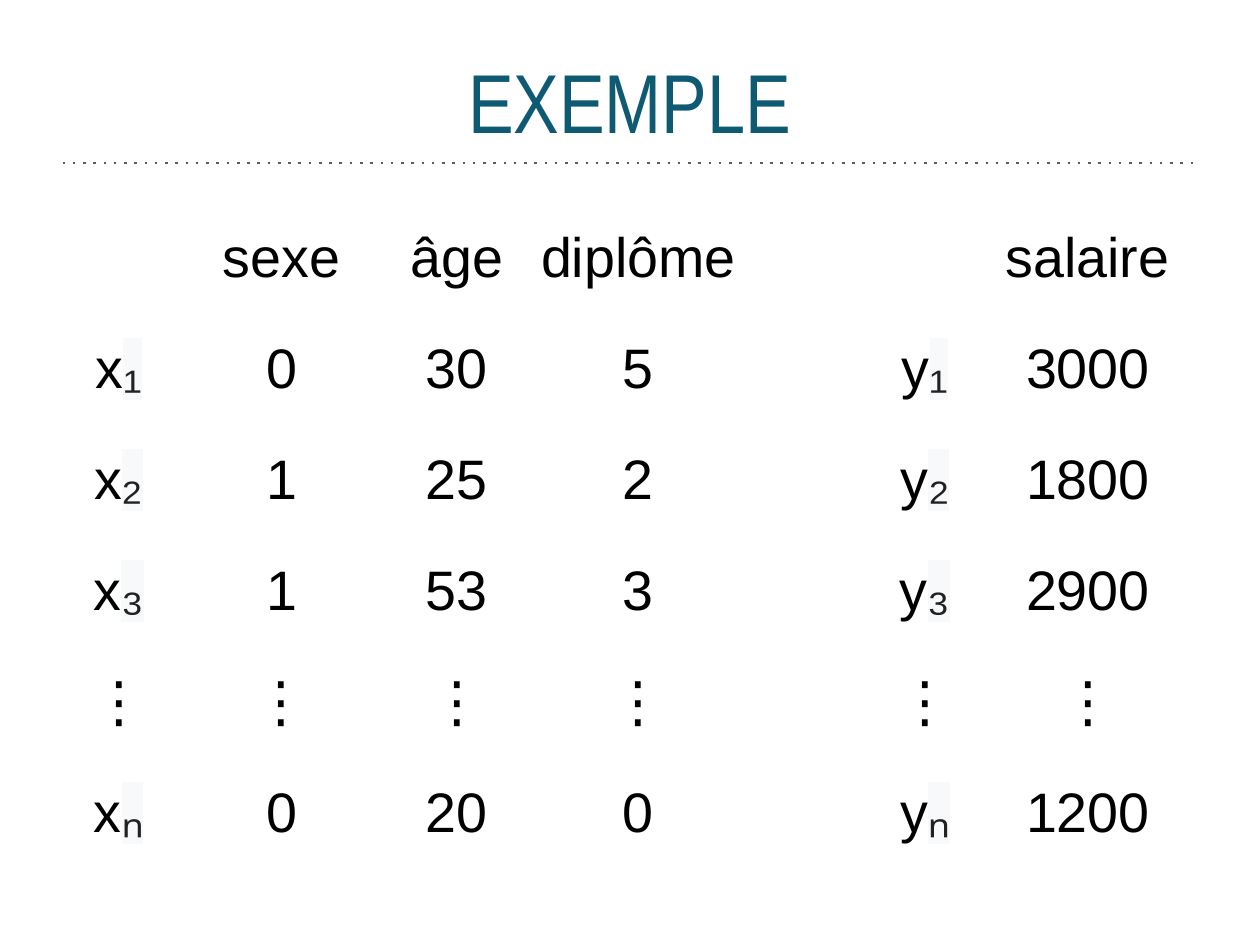
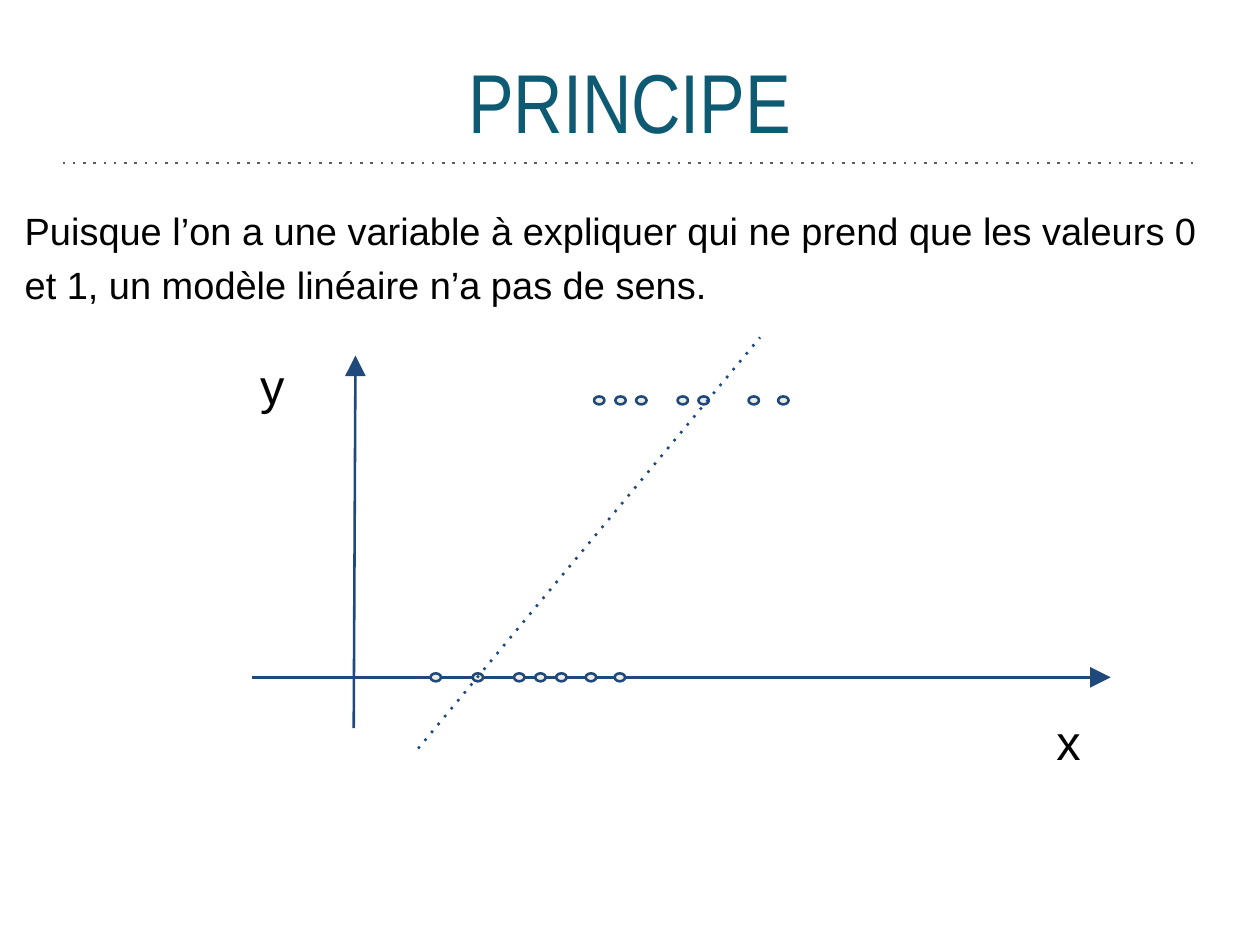
from lxml import etree
from pptx import Presentation
from pptx.dml.color import RGBColor
from pptx.enum.shapes import MSO_CONNECTOR, MSO_SHAPE
from pptx.enum.text import MSO_ANCHOR, PP_ALIGN
from pptx.oxml.ns import qn
from pptx.util import Pt

LEFT, CENTER = PP_ALIGN.LEFT, PP_ALIGN.CENTER
TOP, MIDDLE = MSO_ANCHOR.TOP, MSO_ANCHOR.MIDDLE
STRAIGHT, OVAL = MSO_CONNECTOR.STRAIGHT, MSO_SHAPE.OVAL


def rgb(value):
    return RGBColor.from_string(value)


class Deck:
    FONT, TITLE_FONT = "Arial", "Arial Narrow"
    TEXT, TITLE, RULE = "000000", "0E5A73", "5C5C5C"
    PLOT, MARKER = "1F497D", "EEECE1"
    SUBSCRIPT, HIGHLIGHT = "202122", "F8F9FA"
    LINE_WIDTH, INSET = 0.75, 7.2

    def __init__(self, width, height):
        self.prs = Presentation()
        self.prs.slide_width, self.prs.slide_height = Pt(width), Pt(height)
        self.s = None

    def slide(self, title):
        self.s = self.prs.slides.add_slide(self.prs.slide_layouts[6])
        self.line(18, 46.9, 344.2, 46.9, self.RULE, dotted=True)
        self.text(19.4, 0, 323.3, 57.6, title, 24, self.TITLE,
                  self.TITLE_FONT, CENTER, MIDDLE)

    def run(self, p, text, size, color=TEXT, font=FONT, highlight=None):
        r = p.add_run()
        r.text = text
        r.font.size = Pt(size)
        r.font.name = font
        r.font.color.rgb = rgb(color)
        if highlight:
            mark = etree.Element(qn("a:highlight"))
            etree.SubElement(mark, qn("a:srgbClr"), val=highlight)
            r._r.rPr.find(qn("a:solidFill")).addnext(mark)

    def text(self, x, y, w, h, text, size, color=TEXT, font=FONT,
             align=LEFT, anchor=TOP, spacing=None):
        tf = self.s.shapes.add_textbox(Pt(x), Pt(y), Pt(w), Pt(h)).text_frame
        tf.word_wrap = True
        tf.vertical_anchor = anchor
        tf.margin_left = tf.margin_right = Pt(self.INSET)
        tf.margin_top = tf.margin_bottom = Pt(self.INSET)
        p = tf.paragraphs[0]
        p.alignment = align
        if spacing:
            p.line_spacing = spacing
        self.run(p, text, size, color, font)

    def line(self, x1, y1, x2, y2, color=PLOT, dotted=False, arrow=False):
        sp = self.s.shapes.add_connector(STRAIGHT, Pt(x1), Pt(y1), Pt(x2), Pt(y2))
        sp.line.color.rgb = rgb(color)
        sp.line.width = Pt(self.LINE_WIDTH)
        ln = sp.line._get_or_add_ln()
        if dotted:
            etree.SubElement(ln, qn("a:prstDash"), val="dot")
        if arrow:
            etree.SubElement(ln, qn("a:tailEnd"), type="triangle")
        etree.SubElement(sp._element.spPr, qn("a:effectLst"))

    def marker(self, cx, cy, w=3, h=2.3):
        sp = self.s.shapes.add_shape(OVAL, Pt(cx - w / 2), Pt(cy - h / 2), Pt(w), Pt(h))
        sp.shadow.inherit = False
        sp.fill.solid()
        sp.fill.fore_color.rgb = rgb(self.MARKER)
        sp.line.color.rgb = rgb(self.PLOT)
        sp.line.width = Pt(self.LINE_WIDTH)

    def table(self, x, y, widths, row_height, rows, size):
        frame = self.s.shapes.add_table(len(rows), len(widths), Pt(x), Pt(y),
                                        Pt(sum(widths)), Pt(row_height * len(rows)))
        table = frame.table
        table.first_row = table.horz_banding = False
        for column, width in zip(table.columns, widths):
            column.width = Pt(width)
        for i, row in enumerate(rows):
            table.rows[i].height = Pt(row_height)
            for j, text in enumerate(row):
                self.cell(table.cell(i, j), text, size)

    def cell(self, cell, text, size):
        cell.fill.background()
        cell.vertical_anchor = MIDDLE
        cell.margin_left = cell.margin_right = 0
        cell.margin_top = cell.margin_bottom = 0
        p = cell.text_frame.paragraphs[0]
        p.alignment = CENTER
        p.line_spacing = 0.5
        if text[:1] in ("x", "y"):
            self.run(p, text[0], size)
            self.run(p, text[1:], size, self.SUBSCRIPT, highlight=self.HIGHLIGHT)
        elif text:
            self.run(p, text, size)


def main():
    deck = Deck(362.2, 272.2)

    # Example data: explanatory variables and outcome
    deck.slide("EXEMPLE")
    samples = [
        ("₁", "0", "30", "5", "3000"),
        ("₂", "1", "25", "2", "1800"),
        ("₃", "1", "53", "3", "2900"),
        ("ₙ", "0", "20", "0", "1200"),
    ]
    rows = [["x" + n, sex, age, degree, "", "y" + n, salary]
            for n, sex, age, degree, salary in samples]
    rows.insert(3, ["" if j == 4 else "⋮" for j in range(7)])
    rows.insert(0, ["", "sexe", "âge", "diplôme", "", "", "salaire"])
    deck.table(15.8, 61.2, [36.7, 56.9, 43.9, 60.5, 35.3, 33.8, 59.8], 31.9, rows, 16)

    # Principle: a straight line through binary outcomes
    deck.slide("PRINCIPE")
    deck.text(0, 60.5, 359.3, 24.5,
              "Puisque l’on a une variable à expliquer qui ne prend que les valeurs 0 "
              "et 1, un modèle linéaire n’a pas de sens.",
              10.9, anchor=MIDDLE, spacing=1.19)

    # Axes and their labels
    deck.line(101.7, 209.3, 102.2, 102.2, arrow=True)
    deck.line(72.4, 194.7, 319.3, 194.7, arrow=True)
    for label, x, y in (("x", 296.6, 197.3), ("y", 67.7, 95)):
        deck.text(x, y, 23, 31, label, 14)

    # Observations at y = 1 and y = 0
    observations = {
        115.1: (172.3, 178.4, 184.4, 196.3, 202.3, 216.7, 225.2),
        194.7: (125.3, 137.4, 149.3, 155.4, 161.4, 169.9, 178.2),
    }
    for cy, centers in observations.items():
        for cx in centers:
            deck.marker(cx, cy)

    # Linear fit
    deck.line(120.2, 215.2, 218.5, 97, dotted=True)

    deck.prs.save("out.pptx")


if __name__ == "__main__":
    main()
